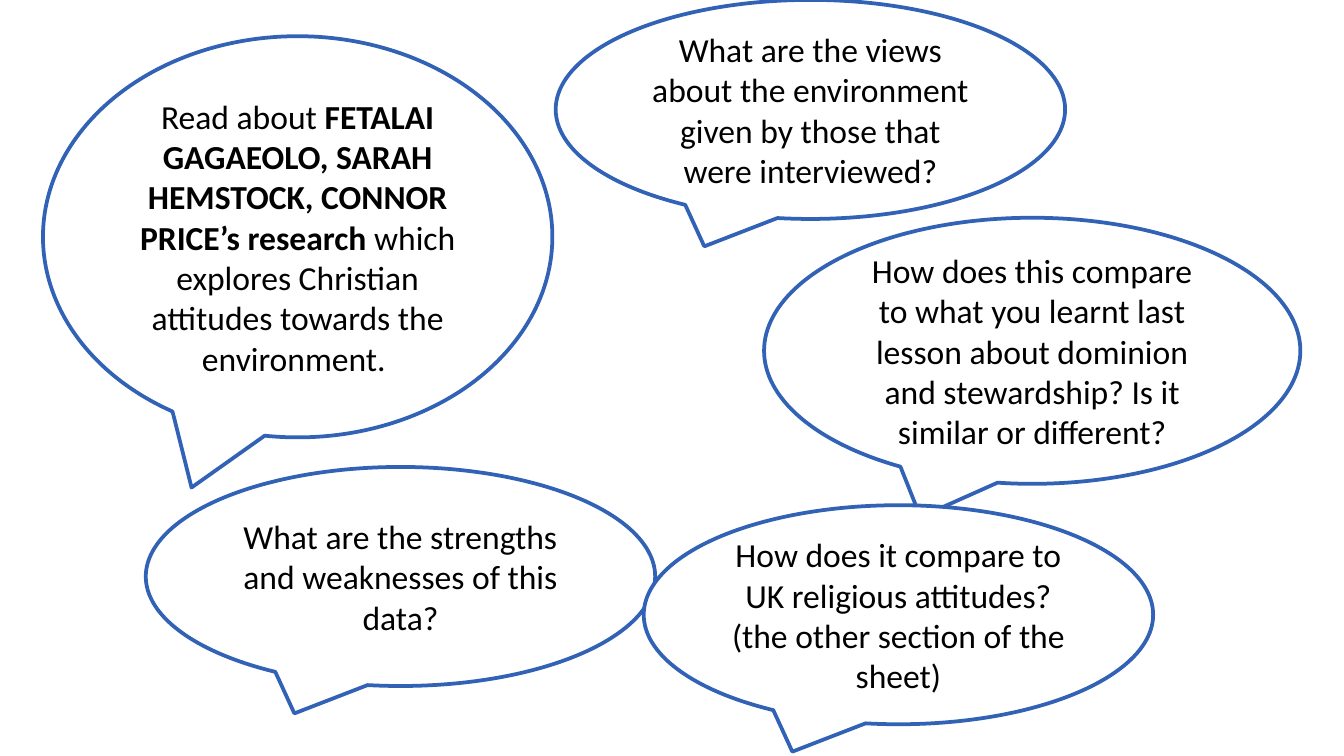
from pptx import Presentation
from pptx.dml.color import RGBColor
from pptx.enum.shapes import MSO_SHAPE
from pptx.enum.text import MSO_ANCHOR, PP_ALIGN
from pptx.util import Emu, Pt

CALLOUT = MSO_SHAPE.OVAL_CALLOUT
MIDDLE = MSO_ANCHOR.MIDDLE
CENTER = PP_ALIGN.CENTER

EMU_PER_PX = 4572  # 200 px to the inch
SLIDE_WIDTH, SLIDE_HEIGHT = 2000, 1125
BUBBLE_WIDTH, BUBBLE_HEIGHT = 758, 326

WHITE = "FFFFFF"
BLUE = "3162B5"
BLACK = "000000"
FONT = "Calibri"

# Left, top, width, height, then runs of (text, bold), from back to front
BUBBLES = [
    (64, 54, BUBBLE_WIDTH, 597, [
        ("Read about ", False),
        ("FETALAI GAGAEOLO, SARAH HEMSTOCK, CONNOR PRICE’s research", True),
        (" which explores Christian attitudes towards the environment. ", False),
    ]),
    (827, 0, BUBBLE_WIDTH, BUBBLE_HEIGHT, [
        ("What are the views about the environment given by those that "
         "were interviewed?", False),
    ]),
    (217, 695, BUBBLE_WIDTH, BUBBLE_HEIGHT, [
        ("What are the strengths and weaknesses of this data?", False),
    ]),
    (1137, 324, 798, 396, [
        ("How does this compare to what you learnt last lesson about dominion "
         "and stewardship? Is it similar or different?", False),
    ]),
    (958, 752, BUBBLE_WIDTH, BUBBLE_HEIGHT, [
        ("How does it compare to UK religious attitudes? "
         "(the other section of the sheet)", False),
    ]),
]


def px(length):
    return Emu(length * EMU_PER_PX)


def color(hex_string):
    return RGBColor.from_string(hex_string)


def add_run(paragraph, text, bold):
    run = paragraph.add_run()
    run.text = text
    run.font.name = FONT
    run.font.size = Pt(18)
    run.font.bold = bold
    run.font.color.rgb = color(BLACK)


def add_speech_bubble(slide, left, top, width, height, runs):
    shape = slide.shapes.add_shape(
        CALLOUT, px(left), px(top), px(width), px(height))
    shape.shadow.inherit = False
    shape.fill.solid()
    shape.fill.fore_color.rgb = color(WHITE)
    shape.line.color.rgb = color(BLUE)
    shape.line.width = Pt(2)

    text_frame = shape.text_frame
    text_frame.word_wrap = True
    text_frame.vertical_anchor = MIDDLE
    paragraph = text_frame.paragraphs[0]
    paragraph.alignment = CENTER
    for text, bold in runs:
        add_run(paragraph, text, bold)


def main():
    presentation = Presentation()
    presentation.slide_width = px(SLIDE_WIDTH)
    presentation.slide_height = px(SLIDE_HEIGHT)
    slide = presentation.slides.add_slide(presentation.slide_layouts[6])
    for bubble in BUBBLES:
        add_speech_bubble(slide, *bubble)
    presentation.save("out.pptx")


if __name__ == "__main__":
    main()
